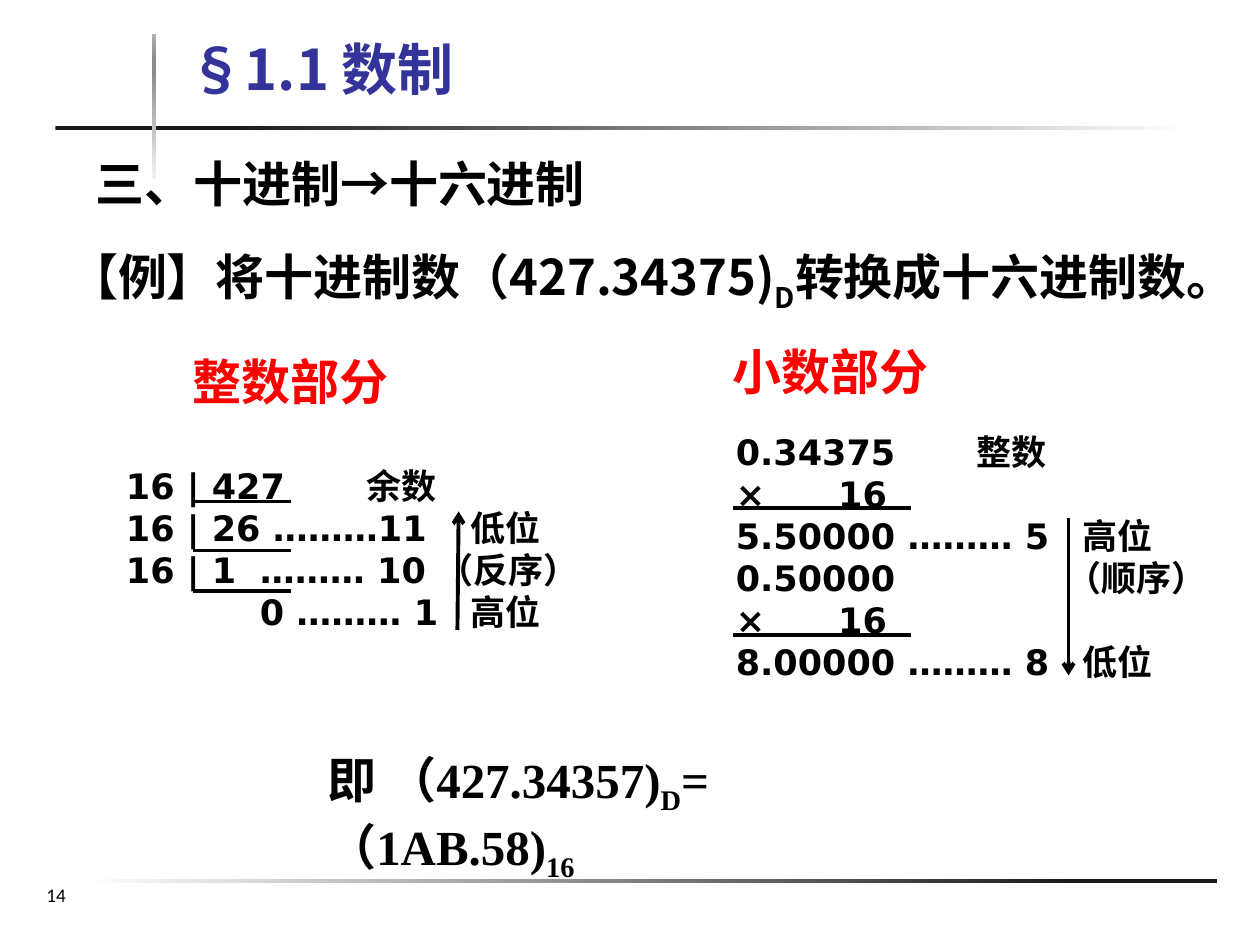
"""Build the slide on turning a decimal number into a hexadecimal one."""
import pptx
import pptx.util
import pptx.dml.color
import pptx.enum.shapes
import pptx.enum.text
import pptx.oxml
import pptx.oxml.ns
from lxml import etree

Pt = pptx.util.Pt
RGB = pptx.dml.color.RGBColor
Shape = pptx.enum.shapes.MSO_SHAPE
Link = pptx.enum.shapes.MSO_CONNECTOR
Anchor = pptx.enum.text.MSO_ANCHOR
Align = pptx.enum.text.PP_ALIGN
qn = pptx.oxml.ns.qn

BLACK = RGB(0, 0, 0)
BLUE = RGB(0x33, 0x33, 0x99)
RED = RGB(0xFF, 0, 0)
HAN, SANS, SERIF = "Noto Sans CJK SC", "DejaVu Sans", "Times New Roman"

RULES = [
    ((47.5, 502.5, 648, 2.2), 0, [(0, "FFFFFF"), (87, "1C1C1C")]),
    ((31.7, 72, 648, 2.2), 0, [(16, "1C1C1C"), (100, "FFFFFF")]),
    ((87.1, 19.4, 2.2, 82.8), 270,
     [(0, "F2F2F2"), (74, "8C8C8C"), (83, "8C8C8C"), (100, "B2B2B2")]),
]
TEXTS = [
    ("§1.1 数制", (100.8, 13.7, 357.8, 48.2), 32, HAN, BLUE, Anchor.BOTTOM, True),
    ("三、十进制→十六进制", (47.5, 83.5, 358.6, 41.8), 28, HAN, BLACK, Anchor.MIDDLE, True),
    ("【例】将十进制数（427.34375)_D_转换成十六进制数。", (32.4, 137.5, 687.6, 41),
     28, HAN, BLACK, Anchor.TOP, False),
    ("整数部分", (103, 197.3, 141.1, 41), 28, HAN, RED, Anchor.TOP, True),
    ("小数部分", (411.8, 191.5, 141.1, 41), 28, HAN, RED, Anchor.TOP, True),
    ("即 （427.34357)_D_=（1AB.58)_16", (180, 424.8, 340, 82),
     28, SERIF, BLACK, Anchor.TOP, True),
]
SUMS = [
    ((72, 265.5, 285), [
        ("16 | 427\t余数", [137.5]),
        ("16 | 26 ………11\t低位", [197]),
        ("16 | 1\t……… 10 （反序）", [76.5]),
        ("\t0 ……… 1\t高位", [76.5, 197]),
    ]),
    ((420.5, 246, 285), [
        ("0.34375\t整数", [137.5]),
        ("×\t16", [58.5]),
        ("5.50000 ……… 5\t高位", [198]),
        ("0.50000\t（顺序）", [189]),
        ("×\t16", [58.5]),
        ("8.00000 ……… 8\t低位", [198]),
    ]),
]
BARS = [(110.2, 166.3, (286.6, 314.6, 337.7)), (419, 520.6, (290.2, 362.9))]
ARROWS = [(261.4, 360, 262.1, 292.3), (610.6, 295.9, 610.6, 385.9)]
PITCH = 24


def style(para, size, font, color, bold=True):
    for run in para.runs:
        run.font.size, run.font.name = Pt(size), font
        run.font.bold, run.font.color.rgb = bold, color
        face = etree.SubElement(run.font._element, qn("a:ea"))
        face.set("typeface", HAN)


def add_box(slide, place, wrap=True, inset=None):
    frame = slide.shapes.add_textbox(*map(Pt, place)).text_frame
    frame.word_wrap = wrap
    if inset is not None:
        frame.margin_left = frame.margin_right = Pt(inset)
        frame.margin_top = frame.margin_bottom = Pt(inset)
    return frame


def add_rule(slide, place, angle, stops):
    rule = slide.shapes.add_shape(Shape.RECTANGLE, *map(Pt, place))
    rule.shadow.inherit = False
    rule.line.fill.background()
    rule.fill.gradient()
    rule.fill.gradient_angle = -angle % 360
    stop_list = rule._element.spPr.find(".//" + qn("a:gsLst"))
    for old in list(stop_list):
        stop_list.remove(old)
    for pos, color in stops:
        stop = etree.SubElement(stop_list, qn("a:gs"), pos=str(pos * 1000))
        etree.SubElement(stop, qn("a:srgbClr"), val=color)


def add_text(slide, text, place, size, font, color, anchor, wrap):
    frame = add_box(slide, place, wrap)
    frame.vertical_anchor = anchor
    para = frame.paragraphs[0]
    for i, part in enumerate(text.split("_")):
        run = para.add_run()
        run.text = part
        if i % 2:
            run.font._element.set("baseline", "-25000")
    style(para, size, font, color)


def add_sum(slide, place, rows):
    left, top, width = place
    frame = add_box(slide, (left, top, width, PITCH * len(rows)), inset=0)
    frame.text = "\n".join(text for text, _ in rows)
    for para, (_, tabs) in zip(frame.paragraphs, rows):
        para.line_spacing = Pt(PITCH)
        tab_list = etree.SubElement(para._p.get_or_add_pPr(), qn("a:tabLst"))
        for tab in tabs:
            etree.SubElement(tab_list, qn("a:tab"), pos=str(Pt(tab)), algn="l")
        style(para, 20, SANS, BLACK)


def add_line(slide, ends, arrow=False):
    line = slide.shapes.add_connector(Link.STRAIGHT, *map(Pt, ends))
    line.line.color.rgb, line.line.width = BLACK, Pt(2.25)
    if arrow:
        etree.SubElement(line.line._get_or_add_ln(), qn("a:tailEnd"), type="arrow")
    etree.SubElement(line._element.spPr, qn("a:effectLst"))


def main():
    deck = pptx.Presentation()
    deck.slide_width, deck.slide_height = Pt(720), Pt(540)
    slide = deck.slides.add_slide(deck.slide_layouts[6])
    for rule in RULES:
        add_rule(slide, *rule)
    for text in TEXTS:
        add_text(slide, *text)
    for table in SUMS:
        add_sum(slide, *table)
    for left, right, levels in BARS:
        for y in levels:
            add_line(slide, (left, y, right, y))
    for ends in ARROWS:
        add_line(slide, ends, arrow=True)
    frame = add_box(slide, (0, 501.1, 64.1, 27.4))
    frame.text = "14"
    frame.paragraphs[0].alignment = Align.CENTER
    style(frame.paragraphs[0], 11, "Calibri", BLACK, bold=False)
    deck.save("out.pptx")


if __name__ == "__main__":
    main()
